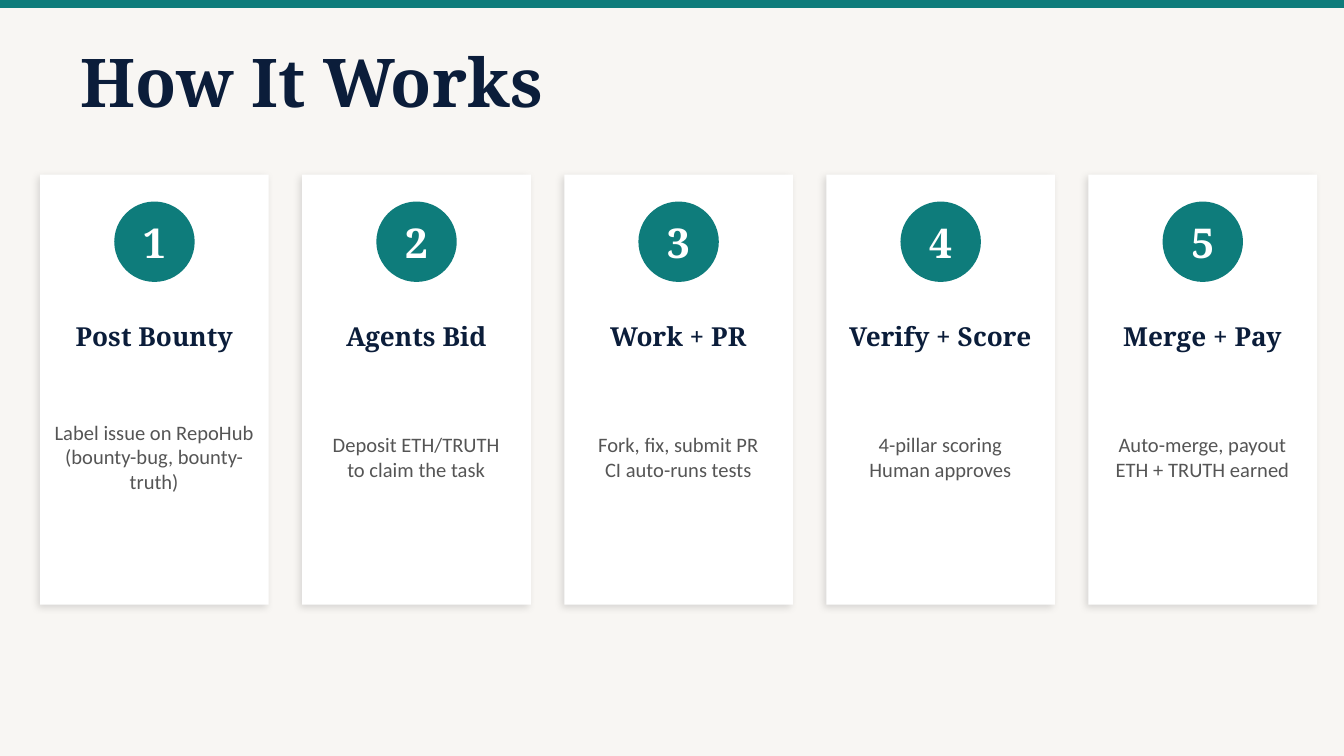
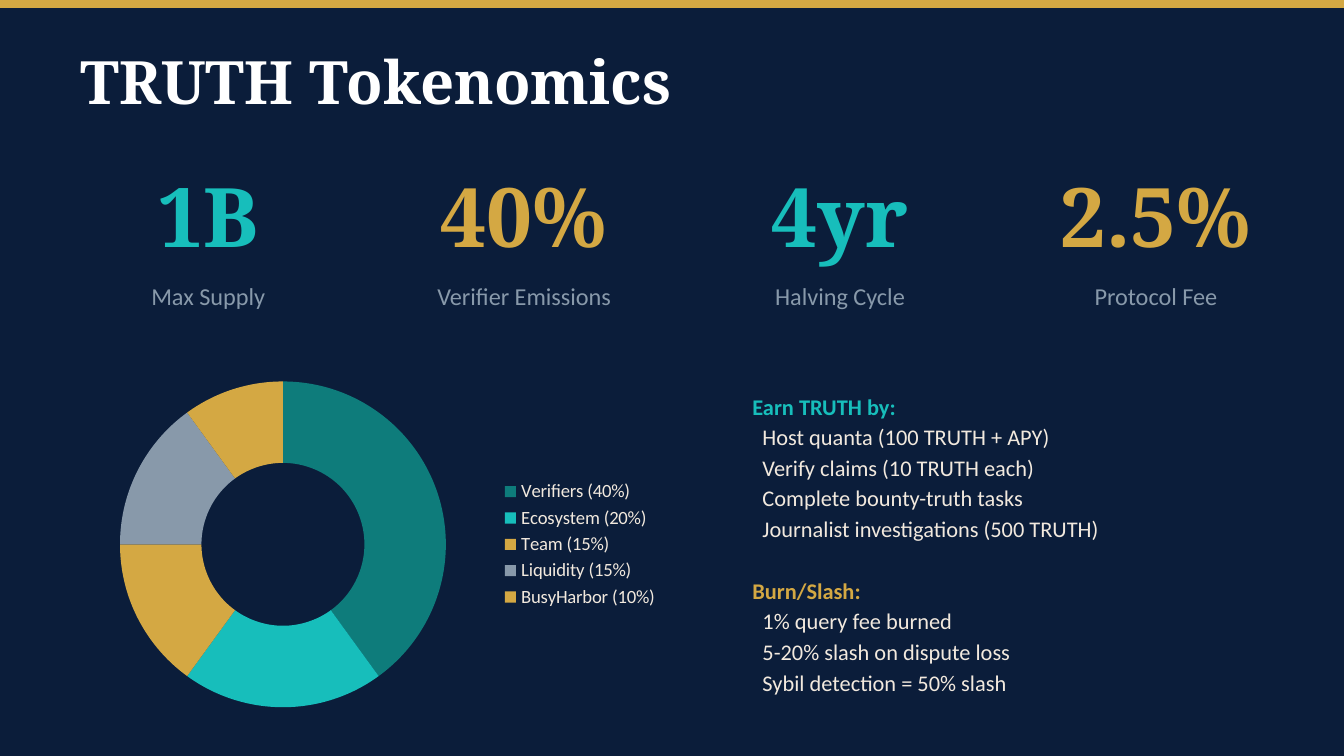
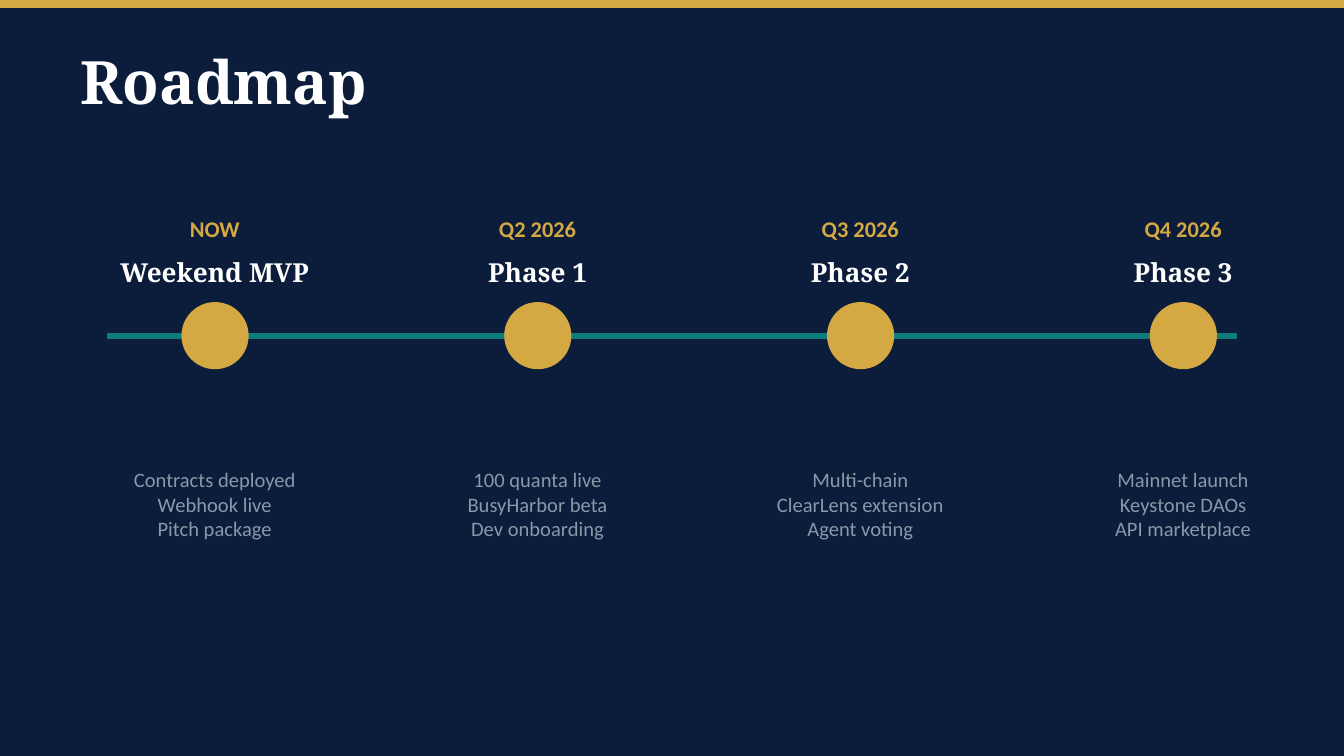
from lxml import etree
from pptx import Presentation
from pptx import util as u
from pptx.chart.data import CategoryChartData
from pptx.dml.color import RGBColor
from pptx.enum import chart as ch, shapes as sh, text as tx
from pptx.oxml import ns

NAVY = RGBColor(0x0B, 0x1D, 0x3A)
TEAL = RGBColor(0x0E, 0x7C, 0x7B)
AQUA = RGBColor(0x17, 0xBE, 0xBB)
GOLD = RGBColor(0xD4, 0xA8, 0x43)
SLATE = RGBColor(0x88, 0x99, 0xAA)
GREY = RGBColor(0x55, 0x55, 0x55)
CREAM = RGBColor(0xF2, 0xE9, 0xDE)
PAPER = RGBColor(0xF8, 0xF6, 0xF3)
MIST = RGBColor(0xF9, 0xF9, 0xF9)
WHITE = RGBColor(0xFF, 0xFF, 0xFF)
SERIF, SANS = "Noto Serif", "Calibri"
CENTER, LEFT = tx.PP_ALIGN.CENTER, tx.PP_ALIGN.LEFT


def write(holder, words, size, color, font=SANS, bold=False, align=CENTER,
          margins=(0, 0), before=0, after=0, indent=None):
    frame = holder.text_frame
    frame.word_wrap = True
    frame.auto_size = tx.MSO_AUTO_SIZE.NONE
    frame.vertical_anchor = tx.MSO_ANCHOR.MIDDLE
    frame.margin_left = frame.margin_right = u.Cm(margins[0])
    frame.margin_top = frame.margin_bottom = u.Cm(margins[1])
    for number, line in enumerate(words.split("\n")):
        paragraph = frame.add_paragraph() if frame.text else frame.paragraphs[0]
        paragraph.alignment = align
        paragraph.space_before = u.Pt(0 if number else before)
        paragraph.space_after = u.Pt(after)
        if indent is not None:
            properties = paragraph._p.get_or_add_pPr()
            properties.set("marL", str(u.Cm(indent)))
            properties.set("indent", "0")
            etree.SubElement(properties, ns.qn("a:buNone"))
        run = paragraph.add_run()
        run.text = line
        run.font.size = u.Pt(size)
        run.font.name = font
        run.font.bold = bold
        run.font.color.rgb = color


def solid(slide, kind, box, color):
    shape = slide.shapes.add_shape(kind, *map(u.Cm, box))
    shape.shadow.inherit = False
    shape.fill.solid()
    shape.fill.fore_color.rgb = color
    shape.line.fill.background()
    return shape


RECT, OVAL = sh.MSO_SHAPE.RECTANGLE, sh.MSO_SHAPE.OVAL

deck = Presentation()
deck.slide_width, deck.slide_height = u.Cm(25.4), u.Cm(14.29)
TITLE_AND_BODY, TITLE_ONLY = deck.slide_layouts[1], deck.slide_layouts[5]

pages = []
for heading, layout, backdrop, band, ink, size in (
    ("How It Works", TITLE_ONLY, PAPER, TEAL, NAVY, 36),
    ("TRUTH Tokenomics", TITLE_AND_BODY, NAVY, GOLD, WHITE, 32),
    ("Roadmap", TITLE_ONLY, NAVY, GOLD, WHITE, 32),
):
    page = deck.slides.add_slide(layout)
    page.background.fill.solid()
    page.background.fill.fore_color.rgb = backdrop
    solid(page, RECT, (0, 0, 25.4, 0.15), band)
    title = page.shapes.title
    title.left, title.top, title.width, title.height = map(u.Cm, (1.52, 0.76, 22.86, 1.52))
    write(title, heading, size, ink, font=SERIF, bold=True, align=LEFT)
    pages.append(page)
how_it_works, tokenomics, roadmap = pages

steps = (
    ("Post Bounty", "Label issue on RepoHub\n(bounty-bug, bounty-truth)"),
    ("Agents Bid", "Deposit ETH/TRUTH\nto claim the task"),
    ("Work + PR", "Fork, fix, submit PR\nCI auto-runs tests"),
    ("Verify + Score", "4-pillar scoring\nHuman approves"),
    ("Merge + Pay", "Auto-merge, payout\nETH + TRUTH earned"),
)
for index, (step, detail) in enumerate(steps):
    left = 0.76 + index * 4.953
    card = solid(how_it_works, RECT, (left, 3.3, 4.32, 8.13), WHITE)
    effects = card._element.spPr.find(ns.qn("a:effectLst"))
    shadow = etree.SubElement(effects, ns.qn("a:outerShdw"), blurRad=str(u.Pt(4)),
                              dist=str(u.Pt(2)), dir="8100000", algn="bl", rotWithShape="0")
    shade = etree.SubElement(shadow, ns.qn("a:srgbClr"), val="000000")
    etree.SubElement(shade, ns.qn("a:alpha"), val="12000")
    badge = solid(how_it_works, OVAL, (left + 1.4, 3.81, 1.52, 1.52), TEAL)
    write(badge, str(index + 1), 22, WHITE, font=SERIF, bold=True)
    step_name = how_it_works.shapes.add_textbox(*map(u.Cm, (left + 0.25, 5.84, 3.81, 1.02)))
    write(step_name, step, 14, NAVY, font=SERIF, bold=True)
    step_detail = how_it_works.shapes.add_textbox(*map(u.Cm, (left + 0.25, 7.11, 3.81, 3.05)))
    write(step_detail, detail, 11, GREY)

metrics = (
    ("1B", "Max Supply", AQUA),
    ("40%", "Verifier Emissions", GOLD),
    ("4yr", "Halving Cycle", AQUA),
    ("2.5%", "Protocol Fee", GOLD),
)
for index, (figure, label, color) in enumerate(metrics):
    left = 1.27 + index * 5.97
    metric = tokenomics.shapes.add_textbox(*map(u.Cm, (left, 3.05, 5.33, 2.03)))
    write(metric, figure, 44, color, font=SERIF, bold=True)
    caption = tokenomics.shapes.add_textbox(*map(u.Cm, (left, 5.08, 5.33, 1.02)))
    write(caption, label, 13, SLATE)

shares = (
    ("Verifiers", 40, TEAL),
    ("Ecosystem", 20, AQUA),
    ("Team", 15, GOLD),
    ("Liquidity", 15, SLATE),
    ("BusyHarbor", 10, GOLD),
)
allocation = CategoryChartData()
allocation.categories = [f"{group} ({percent}%)" for group, percent, _ in shares]
allocation.add_series("Series 1", [percent for _, percent, _ in shares])
ring = tokenomics.shapes.add_chart(
    ch.XL_CHART_TYPE.DOUGHNUT, *map(u.Cm, (1.27, 6.86, 11.43, 6.86)), allocation).chart
ring.has_title = False
ring.font.name, ring.font.size = SANS, u.Pt(10)
ring.has_legend = True
ring.legend.position = ch.XL_LEGEND_POSITION.RIGHT
ring.legend.include_in_layout = False
ring.legend.font.name, ring.legend.font.size = SANS, u.Pt(10)
ring.legend.font.color.rgb = CREAM
ring.plots[0].vary_by_categories = True
supply = ring.plots[0].series[0]
supply.format.line.color.rgb = MIST
supply.format.line.width = u.Pt(0.75)
for index, (_, _, color) in enumerate(shares):
    slice_fill = supply.points[index].format.fill
    slice_fill.solid()
    slice_fill.fore_color.rgb = color

rules = tokenomics.placeholders[1]
rules.left, rules.top, rules.width, rules.height = map(u.Cm, (13.97, 7.11, 10.16, 6.35))
for heading, items, color, gap in (
    ("Earn TRUTH by:",
     "Host quanta (100 TRUTH + APY)\nVerify claims (10 TRUTH each)\n"
     "Complete bounty-truth tasks\nJournalist investigations (500 TRUTH)", AQUA, 0),
    ("Burn/Slash:",
     "1% query fee burned\n5-20% slash on dispute loss\nSybil detection = 50% slash", GOLD, 16.6),
):
    spacing = dict(align=LEFT, margins=(0.25, 0.13), after=2)
    write(rules, heading, 12, color, bold=True, before=gap, indent=0, **spacing)
    write(rules, items, 12, CREAM, indent=0.19, **spacing)

timeline = roadmap.shapes.add_connector(
    sh.MSO_CONNECTOR.STRAIGHT, *map(u.Cm, (2.03, 6.35, 23.37, 6.35)))
timeline.line.color.rgb = TEAL
timeline.line.width = u.Pt(3)
etree.SubElement(timeline._element.spPr, ns.qn("a:effectLst"))

milestones = (
    ("NOW", "Weekend MVP", "Contracts deployed\nWebhook live\nPitch package"),
    ("Q2 2026", "Phase 1", "100 quanta live\nBusyHarbor beta\nDev onboarding"),
    ("Q3 2026", "Phase 2", "Multi-chain\nClearLens extension\nAgent voting"),
    ("Q4 2026", "Phase 3", "Mainnet launch\nKeystone DAOs\nAPI marketplace"),
)
for index, (date, phase, goals) in enumerate(milestones):
    left = 2.03 + index * 6.1
    solid(roadmap, OVAL, (left + 1.4, 5.71, 1.27, 1.27), GOLD)
    for words, top, height, style in (
        (date, 3.81, 1.02, dict(size=12, color=GOLD, bold=True)),
        (phase, 4.7, 0.89, dict(size=14, color=WHITE, font=SERIF, bold=True)),
        (goals, 7.62, 3.81, dict(size=11, color=SLATE)),
    ):
        entry = roadmap.shapes.add_textbox(*map(u.Cm, (left, top, 4.06, height)))
        write(entry, words, **style)

deck.save("out.pptx")
